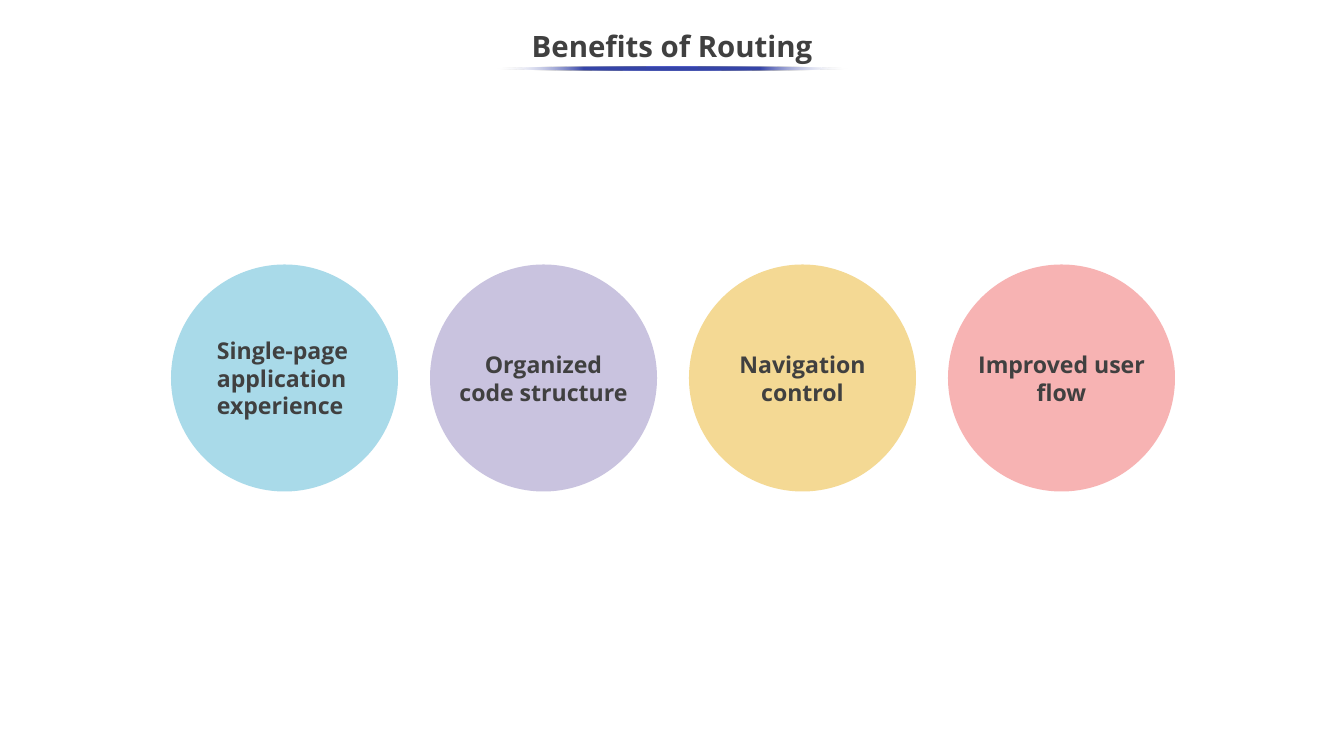
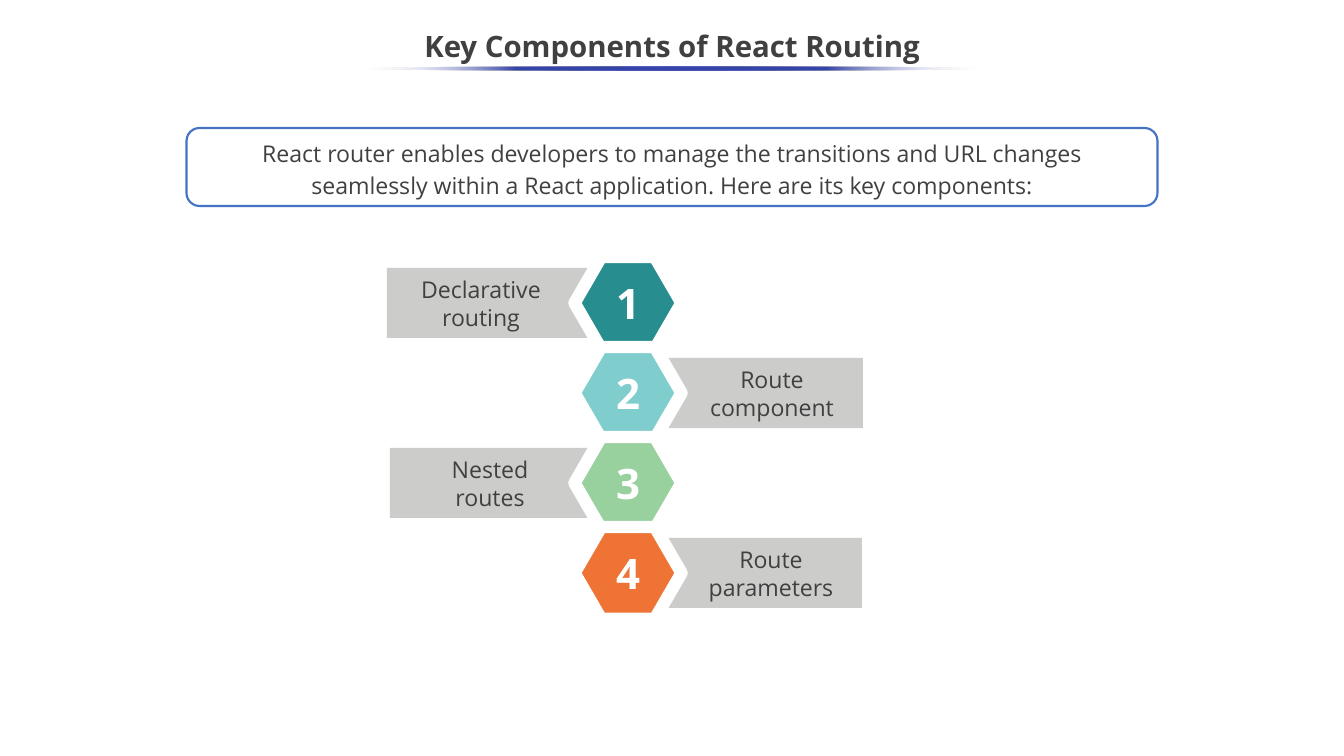
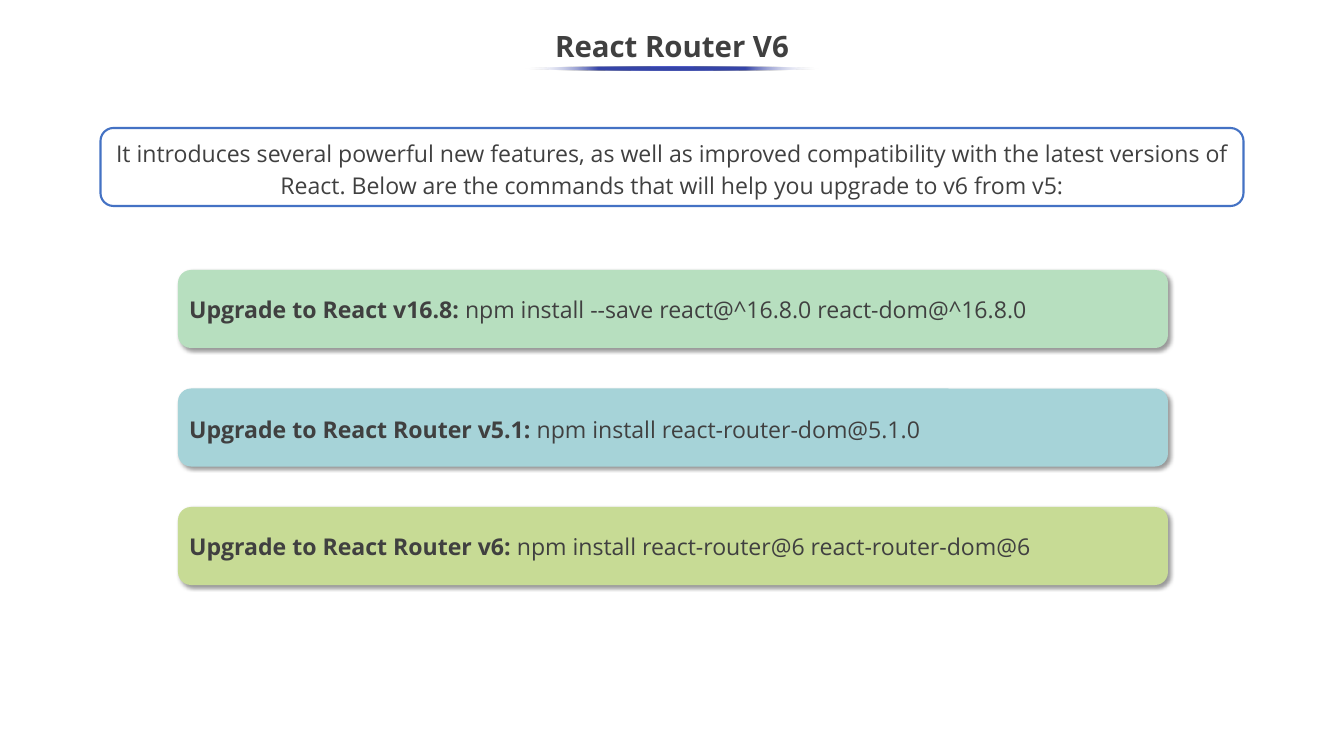
from lxml.etree import SubElement
from pptx import Presentation
from pptx.dml.color import RGBColor
from pptx.enum.shapes import MSO_SHAPE as Shape
from pptx.enum.text import MSO_ANCHOR as Anchor, PP_ALIGN as Align
from pptx.oxml.ns import qn
from pptx.util import Pt

PX = 12095
WIDE, HIGH = 1344, 756
MID = WIDE // 2

FONT = "Open Sans"
INK = RGBColor(0x40, 0x40, 0x40)
WHITE = RGBColor(0xFF, 0xFF, 0xFF)
BLUE = RGBColor(0x44, 0x72, 0xC4)
INDIGO = RGBColor(0x36, 0x45, 0xA9)
GREY = RGBColor(0xCC, 0xCC, 0xCB)
SKY = RGBColor(0xA9, 0xDA, 0xE9)
LILAC = RGBColor(0xC9, 0xC3, 0xDF)
SAND = RGBColor(0xF4, 0xD9, 0x94)
ROSE = RGBColor(0xF7, 0xB3, 0xB3)
TEAL = RGBColor(0x27, 0x8D, 0x8E)
AQUA = RGBColor(0x7F, 0xCE, 0xCD)
LEAF = RGBColor(0x98, 0xD0, 0x9E)
ORANGE = RGBColor(0xEE, 0x73, 0x35)
MINT = RGBColor(0xB7, 0xDF, 0xBF)
POOL = RGBColor(0xA6, 0xD3, 0xD8)
LIME = RGBColor(0xC7, 0xDB, 0x95)

# lines, fill, label width, alignment
BENEFITS = [
    (["Single-page", "application", "experience"], SKY, 150, Align.LEFT),
    (["Organized", "code structure"], LILAC, 200, Align.CENTER),
    (["Navigation", "control"], SAND, 200, Align.CENTER),
    (["Improved user", "flow"], ROSE, 200, Align.CENTER),
]

PARTS_NOTE = ("React router enables developers to manage the transitions and URL changes\n"
              "seamlessly within a React application. Here are its key components:")
# lines, fill, tag left and width, label left and width
PARTS = [
    (["Declarative routing"], TEAL, (387, 282), (389, 184)),
    (["Route component"], AQUA, (587, 276), (680, 184)),
    (["Nested", "routes"], LEAF, (390, 262), (389, 202)),
    (["Route parameters"], ORANGE, (586, 276), (679, 184)),
]

V6_NOTE = ("It introduces several powerful new features, as well as improved compatibility "
           "with the latest versions of React. Below are the commands that will help you "
           "upgrade to v6 from v5:")
# lead, command, fill, line spacing
STEPS = [
    ("Upgrade to React v16.8: ", "npm install --save react@^16.8.0 react-dom@^16.8.0", MINT, 1),
    ("Upgrade to React Router v5.1: ", "npm install react-router-dom@5.1.0", POOL, 1.15),
    ("Upgrade to React Router v6: ", "npm install react-router@6 react-router-dom@6", LIME, 1),
]


def emu(*nums):
    return [round(n * PX) for n in nums]


def style(run, size=22, bold=False, color=INK):
    font = run.font
    font.name, font.size, font.bold = FONT, Pt(size), bold
    font.color.rgb = color


def write(shape, lines, align=Align.CENTER, space=1, **look):
    """Fill a shape with one paragraph per line, centred in height."""
    frame = shape.text_frame
    frame.word_wrap = True
    frame.vertical_anchor = Anchor.MIDDLE
    for i, line in enumerate(lines):
        para = frame.add_paragraph() if i else frame.paragraphs[0]
        para.text = line
        para.alignment, para.line_spacing = align, space
        for run in para.runs:
            style(run, **look)


def draw(slide, kind, x, y, w, h, fill=None, line=None, weight=0):
    shape = slide.shapes.add_shape(kind, *emu(x, y, w, h))
    shape.shadow.inherit = False
    if fill is not None:
        shape.fill.solid()
        shape.fill.fore_color.rgb = fill
    if line is None:
        shape.line.fill.background()
    else:
        shape.line.color.rgb = line
        shape.line.width = Pt(weight)
    return shape


def label(slide, x, mid, w, lines, h=64, **look):
    box = slide.shapes.add_textbox(*emu(x, mid - h / 2, w, h))
    write(box, lines, **look)


def add_rule(slide, w):
    """Draw the line under the title, fading out at both ends."""
    rule = draw(slide, Shape.OVAL, MID - w / 2, 67, w, 3)
    rule.fill.gradient()
    rule.fill.gradient_angle = 0
    stops = rule._element.spPr.find(".//" + qn("a:gsLst"))
    for stop in list(stops):
        stops.remove(stop)
    for pos, color in [(0, WHITE), (25, INDIGO), (75, INDIGO), (100, WHITE)]:
        stop = SubElement(stops, qn("a:gs"), pos=str(pos * 1000))
        tint = SubElement(stop, qn("a:srgbClr"), val=str(color))
        if color == WHITE:
            SubElement(tint, qn("a:alpha"), val="0")


def add_slide(deck, text, rule):
    slide = deck.slides.add_slide(deck.slide_layouts[5])
    title = slide.shapes.title
    title.left, title.top, title.width, title.height = emu(0, 19, WIDE, 57)
    write(title, [text], space=0.9, size=28, bold=True)
    add_rule(slide, rule)
    return slide


def add_note(slide, w, text):
    box = draw(slide, Shape.ROUNDED_RECTANGLE, MID - w / 2, 128, w, 78, WHITE, BLUE, 2)
    write(box, [text], space=1.15)


def cast(shape):
    """Give a shape a soft shadow to the lower right."""
    effects = shape._element.spPr.find(qn("a:effectLst"))
    shade = SubElement(effects, qn("a:outerShdw"), blurRad=str(Pt(4)), dist=str(Pt(3)),
                       dir=str(45 * 60000), algn="tl", rotWithShape="0")
    tint = SubElement(shade, qn("a:srgbClr"), val="000000")
    SubElement(tint, qn("a:alpha"), val="40000")


def benefits(deck):
    slide = add_slide(deck, "Benefits of Routing", 351)
    size, mid = 227, 378
    gap = 32
    left = (WIDE - 4 * size - 3 * gap) / 2 + 1
    for i, (lines, fill, w, align) in enumerate(BENEFITS):
        x = left + i * (size + gap)
        draw(slide, Shape.OVAL, x, mid - size / 2, size, size, fill)
        label(slide, x + (size - w) / 2, mid, w, lines, h=8 + 28 * len(lines),
              align=align, bold=True)


def components(deck):
    slide = add_slide(deck, "Key Components of React Routing", 620)
    add_note(slide, 971, PARTS_NOTE)
    top, step = 303, 90
    tag_h, hex_w, hex_h = 70, 107, 92
    for i, (lines, _, (x, w), (text_x, text_w)) in enumerate(PARTS):
        mid = top + i * step
        tag = draw(slide, Shape.PENTAGON, x, mid - tag_h / 2, w, tag_h, GREY)
        tag.adjustments[0] = 0.64
        tag.rotation = 180 * (i % 2)
        label(slide, text_x, mid, text_w, lines)
    for i, (_, fill, *_) in enumerate(PARTS):
        mid = top + i * step
        cell = draw(slide, Shape.HEXAGON, 628 - hex_w / 2, mid - hex_h / 2, hex_w, hex_h,
                    fill, WHITE, 11.88)
        cell.adjustments[0] = 0.29
        frame = cell.text_frame
        frame.margin_left = frame.margin_right = frame.margin_top = frame.margin_bottom = 0
        write(cell, [str(i + 1)], size=40, bold=True, color=WHITE)


def upgrade(deck):
    slide = add_slide(deck, "React Router V6", 293)
    add_note(slide, 1143, V6_NOTE)
    for i, (lead, code, fill, space) in enumerate(STEPS):
        bar = draw(slide, Shape.ROUNDED_RECTANGLE, 178, 270 + 118.5 * i, 990, 78, fill)
        cast(bar)
        write(bar, [lead], align=Align.LEFT, space=space, bold=True)
        run = bar.text_frame.paragraphs[0].add_run()
        run.text = code
        style(run)


def main():
    deck = Presentation()
    deck.slide_width, deck.slide_height = emu(WIDE, HIGH)
    benefits(deck)
    components(deck)
    upgrade(deck)
    deck.save("out.pptx")


if __name__ == "__main__":
    main()
